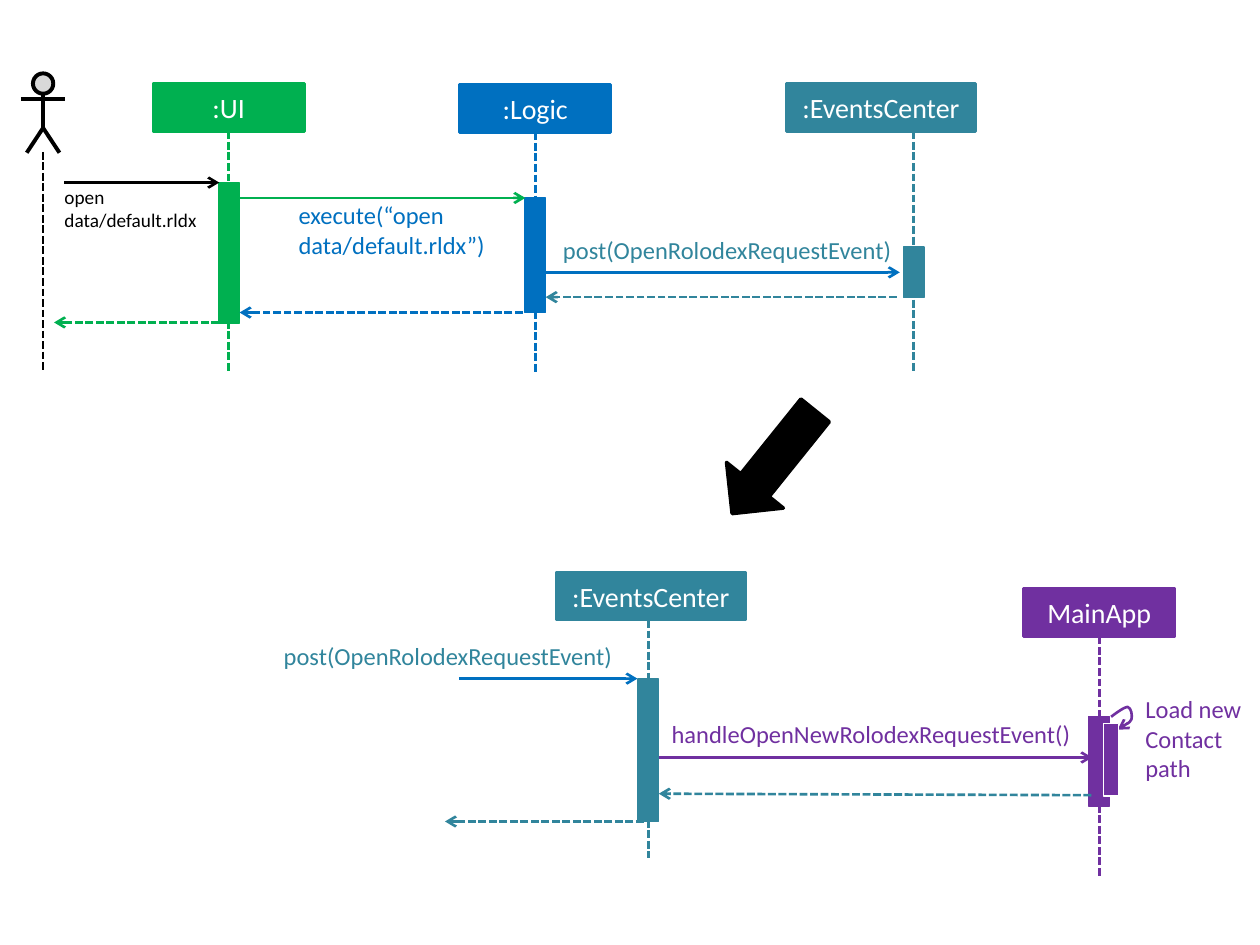
from lxml.etree import SubElement
from pptx import Presentation
from pptx.dml.color import RGBColor
from pptx.enum.dml import MSO_LINE
from pptx.enum.shapes import MSO_CONNECTOR, MSO_SHAPE
from pptx.enum.text import MSO_ANCHOR, PP_ALIGN
from pptx.oxml.ns import qn
from pptx.util import Cm, Pt

BLACK = RGBColor(0x00, 0x00, 0x00)
WHITE = RGBColor(0xFF, 0xFF, 0xFF)
GREY = RGBColor(0xD9, 0xD9, 0xD9)
GREEN = RGBColor(0x00, 0xB0, 0x50)
BLUE = RGBColor(0x00, 0x70, 0xC0)
TEAL = RGBColor(0x31, 0x85, 0x9C)
PURPLE = RGBColor(0x70, 0x30, 0xA0)

HEADER_H = 0.97
BAR_W = 0.42


def write(tf, text, size=14, color=BLACK, align=PP_ALIGN.LEFT, anchor=MSO_ANCHOR.TOP):
    tf.word_wrap = True
    tf.vertical_anchor = anchor
    tf.margin_left = tf.margin_right = tf.margin_top = tf.margin_bottom = 0
    p = tf.paragraphs[0]
    p.alignment = align
    r = p.add_run()
    r.text = text
    r.font.name = "Calibri"
    r.font.size = Pt(size)
    r.font.color.rgb = color


def label(slide, x, y, w, h, text, **fmt):
    write(slide.shapes.add_textbox(Cm(x), Cm(y), Cm(w), Cm(h)).text_frame, text, **fmt)


def block(slide, kind, x, y, w, h, fill, line=None, width=0.75):
    sp = slide.shapes.add_shape(kind, Cm(x), Cm(y), Cm(w), Cm(h))
    sp.shadow.inherit = False
    sp.fill.solid()
    sp.fill.fore_color.rgb = fill
    sp.line.color.rgb = fill if line is None else line
    sp.line.width = Pt(width)
    return sp


def add_arrowhead(sp):
    SubElement(sp.line._get_or_add_ln(), qn("a:tailEnd"), type="arrow")


def line(slide, x1, y1, x2, y2, color, width=1.5, dashed=False, arrow=False):
    cx = slide.shapes.add_connector(MSO_CONNECTOR.STRAIGHT, Cm(x1), Cm(y1), Cm(x2), Cm(y2))
    cx.line.color.rgb = color
    cx.line.width = Pt(width)
    if dashed:
        cx.line.dash_style = MSO_LINE.SQUARE_DOT
    if arrow:
        add_arrowhead(cx)
    SubElement(cx._element.spPr, qn("a:effectLst"))
    return cx


def outline(slide, points, color, width):
    """Draw an open, unfilled line through the points."""
    start, *rest = [(Cm(x), Cm(y)) for x, y in points]
    builder = slide.shapes.build_freeform(*start)
    builder.add_line_segments(rest, close=False)
    sp = builder.convert_to_shape()
    sp.shadow.inherit = False
    sp.fill.background()
    sp.line.color.rgb = color
    sp.line.width = Pt(width)
    return sp


def bezier(slide, points, color, width):
    """Turn each three points after the first into one cubic curve."""
    sp = outline(slide, points, color, width)
    path = sp._element.find(".//" + qn("a:path"))
    segments = path.findall(qn("a:lnTo"))
    for i in range(0, len(segments), 3):
        curve = SubElement(path, qn("a:cubicBezTo"))
        for segment in segments[i:i + 3]:
            curve.append(segment[0])
            path.remove(segment)
    return sp


def actor(slide, axis, y, bottom):
    head = 0.41
    block(slide, MSO_SHAPE.FLOWCHART_CONNECTOR, axis - head / 2, y, head, head,
          GREY, BLACK, 2.25)
    line(slide, axis, y + head, axis, y + 1.11, BLACK, 2.25)
    outline(slide, [(axis - 0.33, y + 1.6), (axis, y + 1.1), (axis + 0.33, y + 1.6)],
            BLACK, 2.25)
    line(slide, axis - 0.45, y + 0.51, axis + 0.45, y + 0.51, BLACK, 2.25)
    line(slide, axis, y + 1.58, axis, bottom, BLACK, dashed=True)


def lifeline(slide, axis, y, bottom, name, color, bar_y, bar_h, width=3.05, shift=0):
    """Draw header, dashed axis and activation bar; shift moves the header off the axis."""
    header = block(slide, MSO_SHAPE.RECTANGLE, axis + shift - width / 2, y,
                   width, HEADER_H, color, width=1.5)
    write(header.text_frame, name, size=16, color=WHITE,
          align=PP_ALIGN.CENTER, anchor=MSO_ANCHOR.MIDDLE)
    cx = line(slide, axis, y + HEADER_H, axis, bottom, color, dashed=True)
    if not shift:
        cx.begin_connect(header, 2)
    block(slide, MSO_SHAPE.RECTANGLE, axis - BAR_W / 2, bar_y, BAR_W, bar_h, color)


def messages(slide, x, y, rows):
    for x1, y1, x2, y2, color, dashed in rows:
        line(slide, x + x1, y + y1, x + x2, y + y2, color, dashed=dashed, arrow=True)


def request_sequence(slide, x, y):
    bottom = y + 6.09
    actor(slide, x + 0.47, y + 0.08, bottom)
    lifeline(slide, x + 4.21, y + 0.28, bottom, ":UI", GREEN, y + 2.28, 2.84)
    lifeline(slide, x + 10.39, y + 0.3, bottom, ":Logic", BLUE, y + 2.59, 2.31)
    lifeline(slide, x + 18.02, y + 0.28, bottom, ":EventsCenter", TEAL,
             y + 3.58, 1.02, width=3.81, shift=-0.66)
    messages(slide, x, y, [
        (0.9, 2.28, 4.02, 2.28, BLACK, False),
        (4.43, 2.59, 10.19, 2.59, GREEN, False),
        (10.6, 4.09, 17.74, 4.09, BLUE, False),
        (17.68, 4.59, 10.6, 4.59, TEAL, True),
        (10.14, 4.9, 4.43, 4.9, BLUE, True),
        (4.02, 5.1, 0.69, 5.1, GREEN, True),
    ])
    label(slide, x + 0.9, y + 2.33, 2.69, 0.94, "open data/default.rldx", size=11)
    label(slide, x + 5.62, y + 2.64, 3.96, 1.19, "execute(“open data/default.rldx”)",
          color=BLUE)
    label(slide, x + 10.95, y + 3.33, 6.78, 0.61, "post(OpenRolodexRequestEvent)",
          color=TEAL)


def self_call(slide, x, y):
    points = [(0, 0.2), (0.13, 0.1), (0.28, 0), (0.33, 0), (0.41, 0.02), (0.43, 0.18),
              (0.41, 0.25), (0.36, 0.33), (0.26, 0.38), (0.13, 0.46)]
    add_arrowhead(bezier(slide, [(x + dx, y + dy) for dx, dy in points], PURPLE, 1.5))


def handling_sequence(slide, x, y):
    lifeline(slide, x + 7.37, y + 0.03, y + 5.8, ":EventsCenter", TEAL,
             y + 2.19, 2.87, width=3.81, shift=0.05)
    lifeline(slide, x + 16.46, y + 0.36, y + 6.15, "MainApp", PURPLE, y + 2.95, 1.8)
    messages(slide, x, y, [
        (3.55, 2.18, 7.15, 2.18, BLUE, False),
        (7.58, 3.77, 16.32, 3.77, PURPLE, False),
        (16.3, 4.53, 7.58, 4.5, TEAL, True),
        (7.28, 5.06, 3.27, 5.06, TEAL, True),
    ])
    self_call(slide, x + 16.7, y + 2.75)
    block(slide, MSO_SHAPE.RECTANGLE, x + 16.55, y + 3.08, 0.3, 1.47, PURPLE, WHITE)
    label(slide, x + 0.02, y + 1.43, 7.54, 0.61, "post(OpenRolodexRequestEvent)",
          color=TEAL)
    label(slide, x + 7.84, y + 3, 8.46, 0.61, "handleOpenNewRolodexRequestEvent()",
          color=PURPLE)
    label(slide, x + 17.39, y + 2.5, 2.21, 1.8, "Load new Contact path", color=PURPLE)


def main():
    prs = Presentation()
    prs.slide_width, prs.slide_height = Cm(25.4), Cm(19.05)
    slide = prs.slides.add_slide(prs.slide_layouts[6])
    request_sequence(slide, 0.4, 1.4)
    handling_sequence(slide, 5.7, 11.5)
    arrow = block(slide, MSO_SHAPE.DOWN_ARROW, 14.86, 7.98, 1.47, 2.67, BLACK, width=2)
    arrow.rotation = 38.8
    prs.save("out.pptx")


if __name__ == "__main__":
    main()
